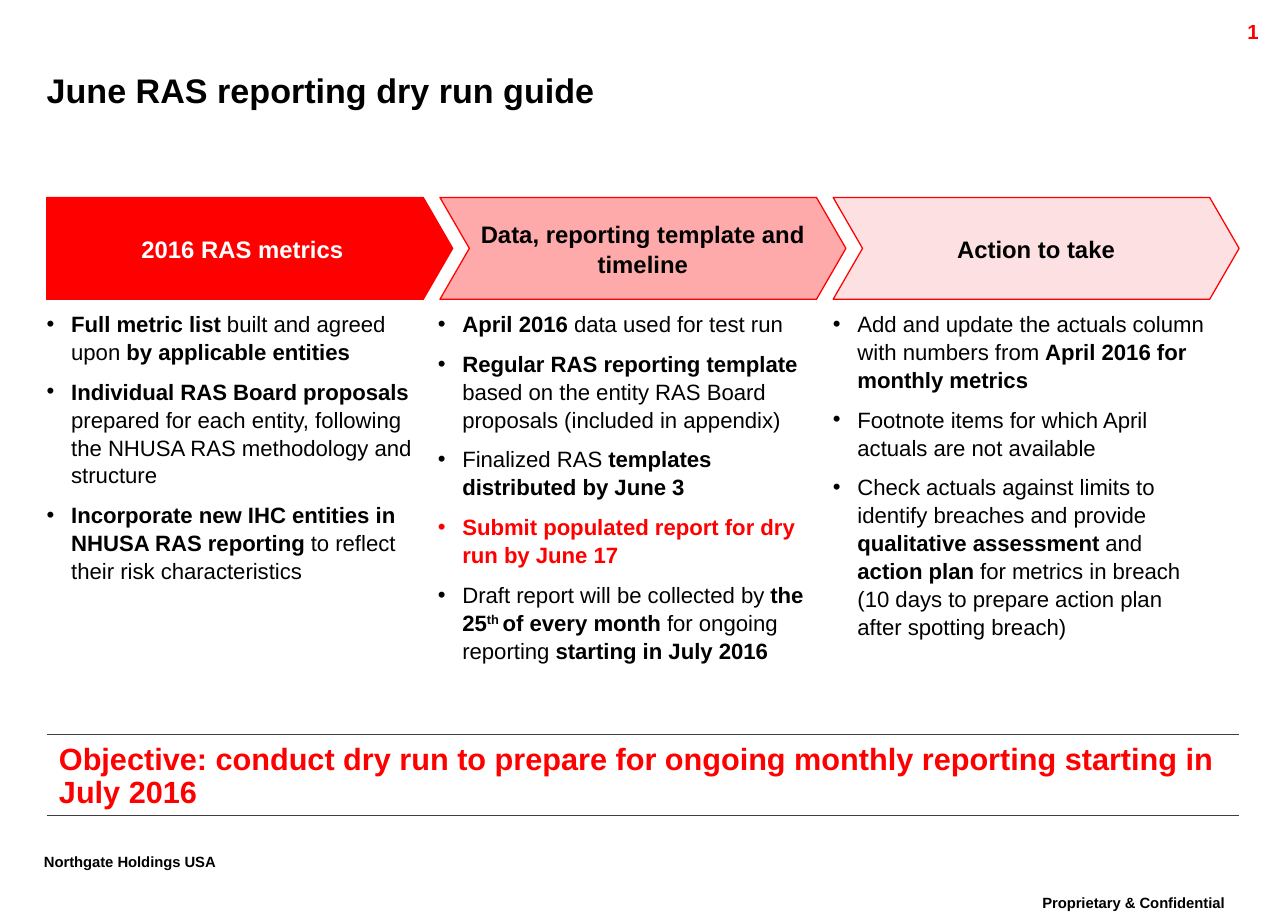
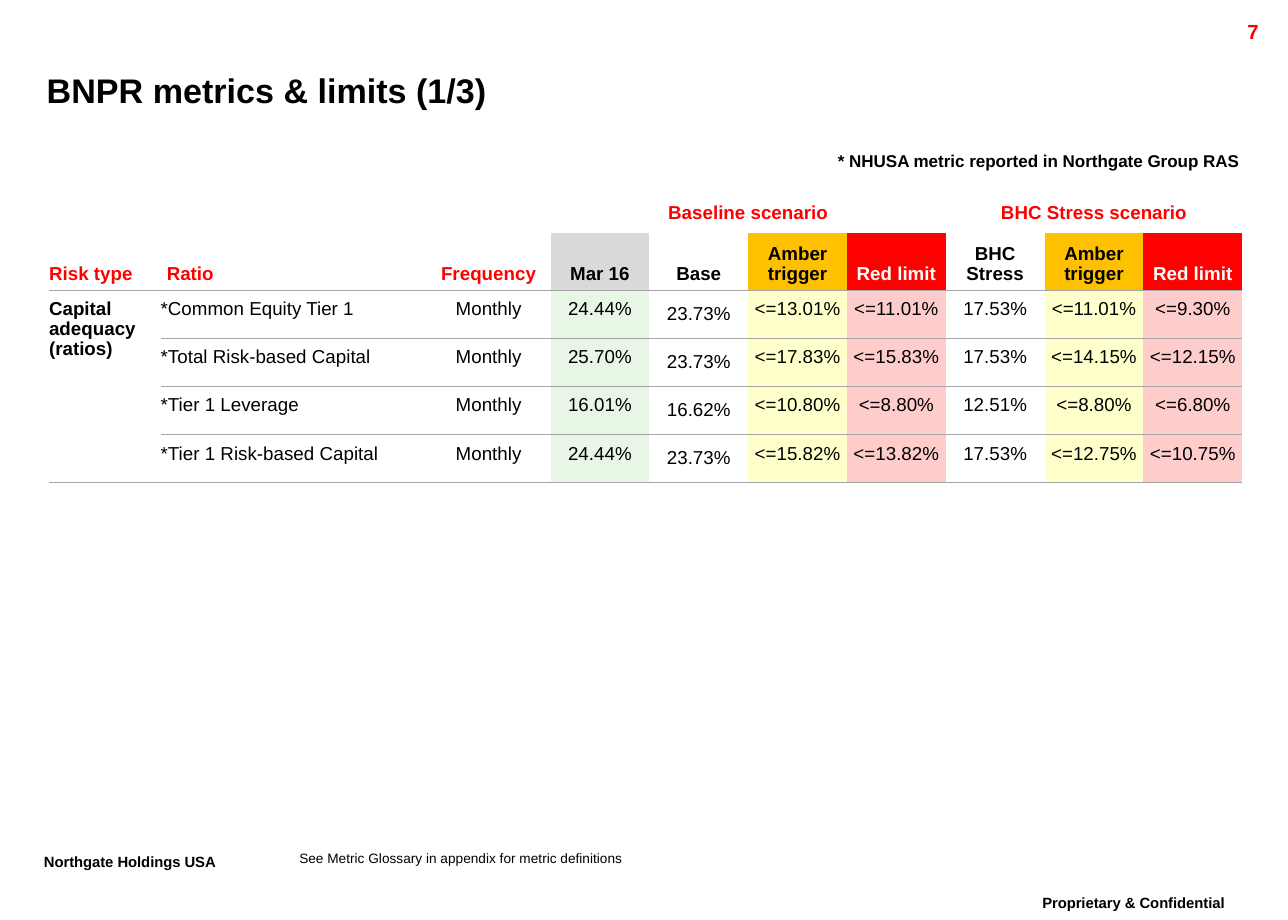
from lxml import etree
from pptx import Presentation
from pptx.dml.color import RGBColor
from pptx.enum import shapes, text
from pptx.oxml import ns
from pptx.util import Pt

FONT = "Arial"
NO_STYLE = "{2D5ABB26-0587-4C30-8999-92F81FD0307C}"
COLORS = {
    "black": "000000", "white": "FFFFFF", "red": "FF0000", "pink": "FFAAAA",
    "blush": "FCE0E2", "gray": "D9D9D9", "amber": "FFC000", "green_tint": "E8F6E6",
    "amber_tint": "FFFFCC", "red_tint": "FFCCCC", "rule": "A5A5A5", "dark_rule": "3F3F3F",
}
LEFT, CENTER, RIGHT = text.PP_ALIGN.LEFT, text.PP_ALIGN.CENTER, text.PP_ALIGN.RIGHT
TOP, MIDDLE, BOTTOM = text.MSO_ANCHOR.TOP, text.MSO_ANCHOR.MIDDLE, text.MSO_ANCHOR.BOTTOM


def rgb(name):
    return RGBColor.from_string(COLORS[name])


def pts(*values):
    return [Pt(v) for v in values]


def add_run(p, words, size, color="black", bold=False, baseline=0):
    r = p.add_run()
    r.text = words
    r.font.name = FONT
    r.font.size = Pt(size)
    r.font.bold = bold
    r.font.color.rgb = rgb(color)
    if baseline:
        r._r.get_or_add_rPr().set("baseline", str(baseline * 1000))


def set_frame(tf, insets, anchor=TOP, wrap=True):
    tf.auto_size = text.MSO_AUTO_SIZE.NONE
    tf.word_wrap = wrap
    tf.vertical_anchor = anchor
    tf.margin_left, tf.margin_top, tf.margin_right, tf.margin_bottom = pts(*insets)


def add_label(s, box, words, size, align=LEFT, insets=(7.2, 3.6, 7.2, 3.6),
              wrap=True, spacing=1.0, **style):
    tf = s.shapes.add_textbox(*pts(*box)).text_frame
    set_frame(tf, insets, wrap=wrap)
    p = tf.paragraphs[0]
    p.alignment = align
    p.line_spacing = spacing
    add_run(p, words, size, **style)


def add_base_slide(prs, title, number):
    s = prs.slides.add_slide(prs.slide_layouts[5])
    sp = s.shapes.title
    sp.left, sp.top, sp.width, sp.height = pts(27.4, 35.3, 682.6, 34.6)
    set_frame(sp.text_frame, (0, 0, 0, 0), MIDDLE)
    p = sp.text_frame.paragraphs[0]
    p.alignment = LEFT
    add_run(p, title, 20, bold=True)
    footer = dict(size=15, spacing=0.86, bold=True, baseline=30)
    add_label(s, (586.8, 522, 157, 25.2), "Proprietary & Confidential", align=CENTER, **footer)
    add_label(s, (18.7, 497.5, 137.5, 25.2), "Northgate Holdings USA", wrap=False, **footer)
    add_label(s, (673.9, 7.9, 72, 17.3), number, 12, RIGHT, color="red", bold=True)
    return s


def add_step(s, box, kind, heading, fill, color):
    sp = s.shapes.add_shape(kind, *pts(*box))
    sp.adjustments[0] = 0.289
    sp.shadow.inherit = False
    sp.fill.solid()
    sp.fill.fore_color.rgb = rgb(fill)
    sp.line.color.rgb = rgb("red")
    sp.line.width = Pt(0.75)
    set_frame(sp.text_frame, (5.8, 5.8, 5.8, 5.8), MIDDLE)
    p = sp.text_frame.paragraphs[0]
    p.alignment = CENTER
    p.line_spacing = 1.05
    add_run(p, heading, 14, color, True)


def add_bullets(s, box, items):
    tf = s.shapes.add_textbox(*pts(*box)).text_frame
    set_frame(tf, (0, 0, 0, 0))
    for i, item in enumerate(items):
        p = tf.paragraphs[0] if i == 0 else tf.add_paragraph()
        p.space_before = Pt(7)
        p.line_spacing = 1.05
        pPr = p._p.get_or_add_pPr()
        pPr.set("marL", str(Pt(14.4)))
        pPr.set("indent", str(-Pt(14.4)))
        etree.SubElement(pPr, ns.qn("a:buFont")).set("typeface", FONT)
        etree.SubElement(pPr, ns.qn("a:buChar")).set("char", "•")
        for words, marks in item:
            add_run(p, words, 13, "red" if "r" in marks else "black",
                    "b" in marks, 30 if "s" in marks else 0)


def add_plain_table(s, box, widths, heights):
    x, y = box
    frame = s.shapes.add_table(len(heights), len(widths),
                               *pts(x, y, sum(widths), sum(heights)))
    table = frame.table
    table.first_row = table.horz_banding = False
    table._tbl.tblPr.find(ns.qn("a:tableStyleId")).text = NO_STYLE
    for column, width in zip(table.columns, widths):
        column.width = Pt(width)
    for row, height in zip(table.rows, heights):
        row.height = Pt(height)
    return table


def add_rule(cell, side, color):
    ln = etree.Element(ns.qn("a:" + side), w=str(Pt(0.75)))
    fill = etree.SubElement(ln, ns.qn("a:solidFill"))
    etree.SubElement(fill, ns.qn("a:srgbClr")).set("val", COLORS[color])
    tcPr = cell._tc.get_or_add_tcPr()
    tcPr.insert(len(tcPr.findall(ns.qn("a:lnT"))), ln)


def fill_cell(cell, words, size, align=LEFT, anchor=TOP, insets=(3.6, 3.6, 3.6, 3.6),
              fill=None, color="black", bold=False):
    cell.margin_left, cell.margin_top, cell.margin_right, cell.margin_bottom = pts(*insets)
    cell.vertical_anchor = anchor
    if fill:
        cell.fill.solid()
        cell.fill.fore_color.rgb = rgb(fill)
    else:
        cell.fill.background()
    p = cell.text_frame.paragraphs[0]
    p.alignment = align
    p.line_spacing = 0.95
    if words:
        add_run(p, words, size, color, bold)
    else:
        p._p.get_or_add_endParaRPr().set("sz", str(size * 100))


def add_objective(s, box, words):
    x, y, w, h = box
    cell = add_plain_table(s, (x, y), [w], [h]).cell(0, 0)
    fill_cell(cell, words, 18, anchor=BOTTOM, insets=(7.2, 3.6, 7.2, 3.6),
              color="red", bold=True)
    for side in ("lnT", "lnB"):
        add_rule(cell, side, "dark_rule")


def add_limits(s, box, rows):
    table = add_plain_table(s, box, [65.5, 156.2, 72.7] + [58] * 7,
                            [20.2, 33.7] + [28.2] * 4)
    scenarios = {3: "Baseline scenario", 7: "BHC Stress scenario"}
    headers = [
        ("Risk type", None, "red"), ("Ratio", None, "red"), ("Frequency", None, "red"),
        ("Mar 16", "gray", "black"), ("Base", None, "black"),
        ("Amber trigger", "amber", "black"), ("Red limit", "red", "white"),
        ("BHC Stress", None, "black"),
        ("Amber trigger", "amber", "black"), ("Red limit", "red", "white"),
    ]
    tints = {"gray": "green_tint", "amber": "amber_tint", "red": "red_tint"}
    for c, (header, fill, color) in enumerate(headers):
        fill_cell(table.cell(0, c), scenarios.get(c, ""), 11, CENTER,
                  fill="white" if c > 2 else None, color="red", bold=True)
        fill_cell(table.cell(1, c), header, 11, LEFT if c < 2 else CENTER, BOTTOM,
                  (3.6 if c else 0, 3.6, 3.6, 3.6), fill, color, True)
        add_rule(table.cell(1, c), "lnB", "rule")
        for r, row in enumerate(rows, 2):
            cell = table.cell(r, c)
            is_base = header == "Base"
            fill_cell(cell, row[c], 11, LEFT if c < 2 else CENTER,
                      MIDDLE if is_base else TOP, (0, 0.7 if is_base else 5.8, 0, 0),
                      tints.get(fill), bold=c == 0)
            if c or r in (2, len(rows) + 1):
                add_rule(cell, "lnB", "rule")
    table.cell(0, 3).merge(table.cell(0, 6))
    table.cell(0, 7).merge(table.cell(0, 9))
    table.cell(2, 0).merge(table.cell(5, 0))


def build_guide(prs):
    s = add_base_slide(prs, "June RAS reporting dry run guide", "1")
    pentagon, chevron = shapes.MSO_SHAPE.PENTAGON, shapes.MSO_SHAPE.CHEVRON
    steps = [
        (pentagon, "2016 RAS metrics", "red", "white", 27.4, 216, [
            [("Full metric list", "b"), (" built and agreed upon ", ""),
             ("by applicable entities", "b")],
            [("Individual RAS Board proposals ", "b"),
             ("prepared for each entity, following the NHUSA RAS methodology and structure", "")],
            [("Incorporate new IHC entities in NHUSA RAS reporting ", "b"),
             ("to reflect their risk characteristics", "")],
        ]),
        (chevron, "Data, reporting template and timeline", "pink", "black", 257, 220.3, [
            [("April 2016", "b"), (" data used for test run", "")],
            [("Regular RAS reporting template ", "b"),
             ("based on the entity RAS Board proposals (included in appendix)", "")],
            [("Finalized RAS ", ""), ("templates distributed by June 3", "b")],
            [("Submit populated report for dry run by June 17", "br")],
            [("Draft report will be collected by ", ""), ("the 25", "b"), ("th ", "bs"),
             ("of every month ", "b"), ("for ongoing reporting ", ""),
             ("starting in July 2016", "b")],
        ]),
        (chevron, "Action to take", "blush", "black", 488.9, 222.5, [
            [("Add and update the actuals column with numbers from ", ""),
             ("April 2016 for monthly metrics", "b")],
            [("Footnote items for which April actuals are not available", "")],
            [("Check actuals against limits to identify breaches and provide ", ""),
             ("qualitative assessment", "b"), (" and ", ""), ("action plan ", "b"),
             ("for metrics in breach (10 days to prepare action plan after spotting breach)",
              "")],
        ]),
    ]
    for i, (kind, heading, fill, color, x, width, items) in enumerate(steps):
        add_step(s, (27.4 + i * 230.8, 115.9, 238.3, 59.8), kind, heading, fill, color)
        add_bullets(s, (x, 181.4, width, 205), items)
    add_objective(s, (27.4, 431.3, 699.8, 47.5),
                  "Objective: conduct dry run to prepare for ongoing monthly reporting "
                  "starting in July 2016")


def build_limits(prs):
    s = add_base_slide(prs, "BNPR metrics & limits (1/3)", "7")
    ratios = [
        ("*Common Equity Tier 1", "24.44%", "23.73%", "13.01%", "11.01%",
         "17.53%", "11.01%", "9.30%"),
        ("*Total Risk-based Capital", "25.70%", "23.73%", "17.83%", "15.83%",
         "17.53%", "14.15%", "12.15%"),
        ("*Tier 1 Leverage", "16.01%", "16.62%", "10.80%", "8.80%",
         "12.51%", "8.80%", "6.80%"),
        ("*Tier 1 Risk-based Capital", "24.44%", "23.73%", "15.82%", "13.82%",
         "17.53%", "12.75%", "10.75%"),
    ]
    rows = []
    for i, (ratio, actual, base, amber, red, stress, s_amber, s_red) in enumerate(ratios):
        rows.append(["" if i else "Capital adequacy (ratios)", ratio, "Monthly", actual,
                     base, "<=" + amber, "<=" + red, stress, "<=" + s_amber, "<=" + s_red])
    add_limits(s, (28.8, 115.9), rows)
    add_label(s, (175.7, 499, 393.8, 9.4),
              "See Metric Glossary in appendix for metric definitions", 8, insets=(0, 0, 0, 0))
    add_label(s, (482.4, 86.4, 254.2, 18), "* NHUSA metric reported in Northgate Group RAS",
              10, CENTER, wrap=False, spacing=0.86, bold=True)


prs = Presentation()
prs.slide_width, prs.slide_height = pts(756, 540)
build_guide(prs)
build_limits(prs)
prs.save("out.pptx")
